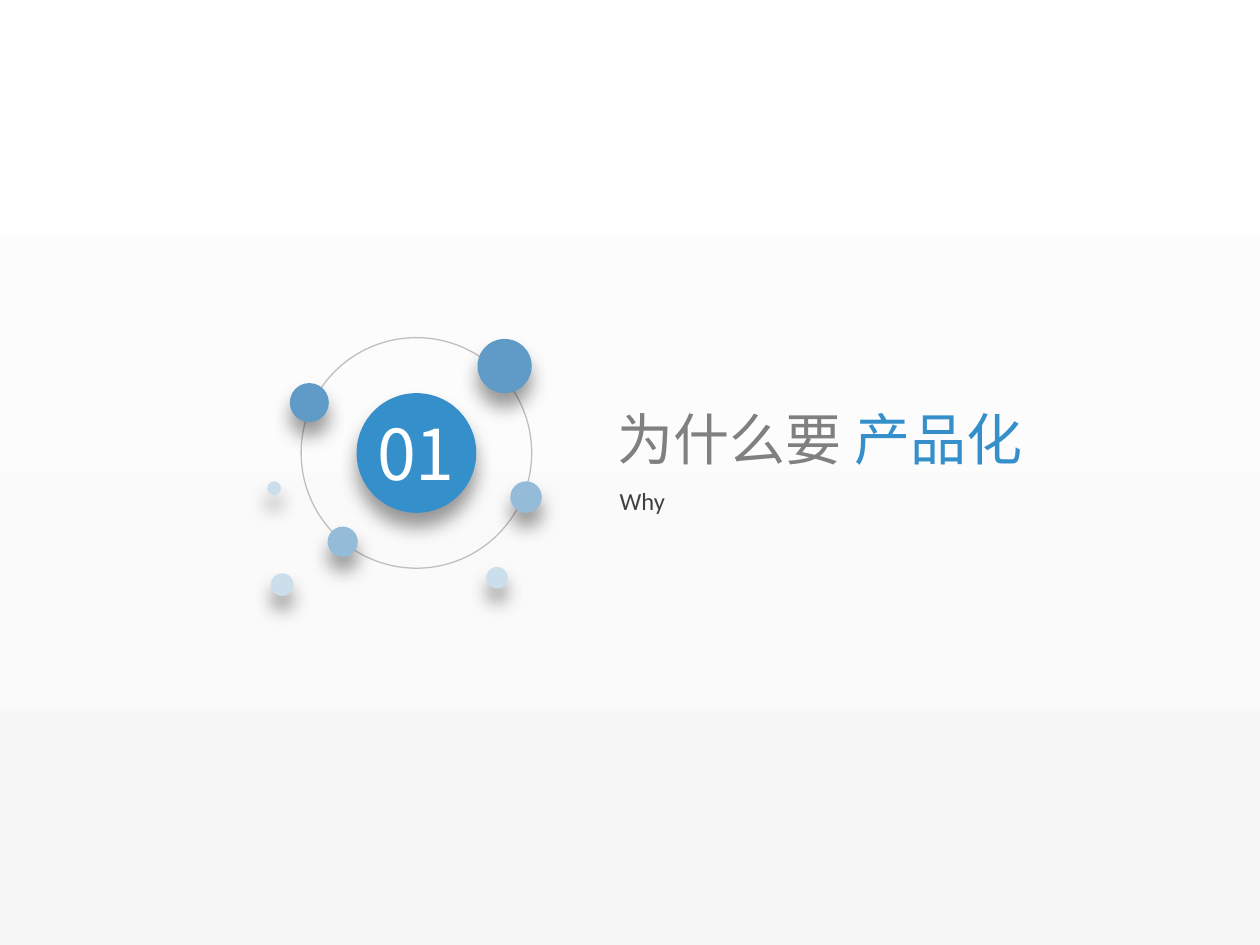
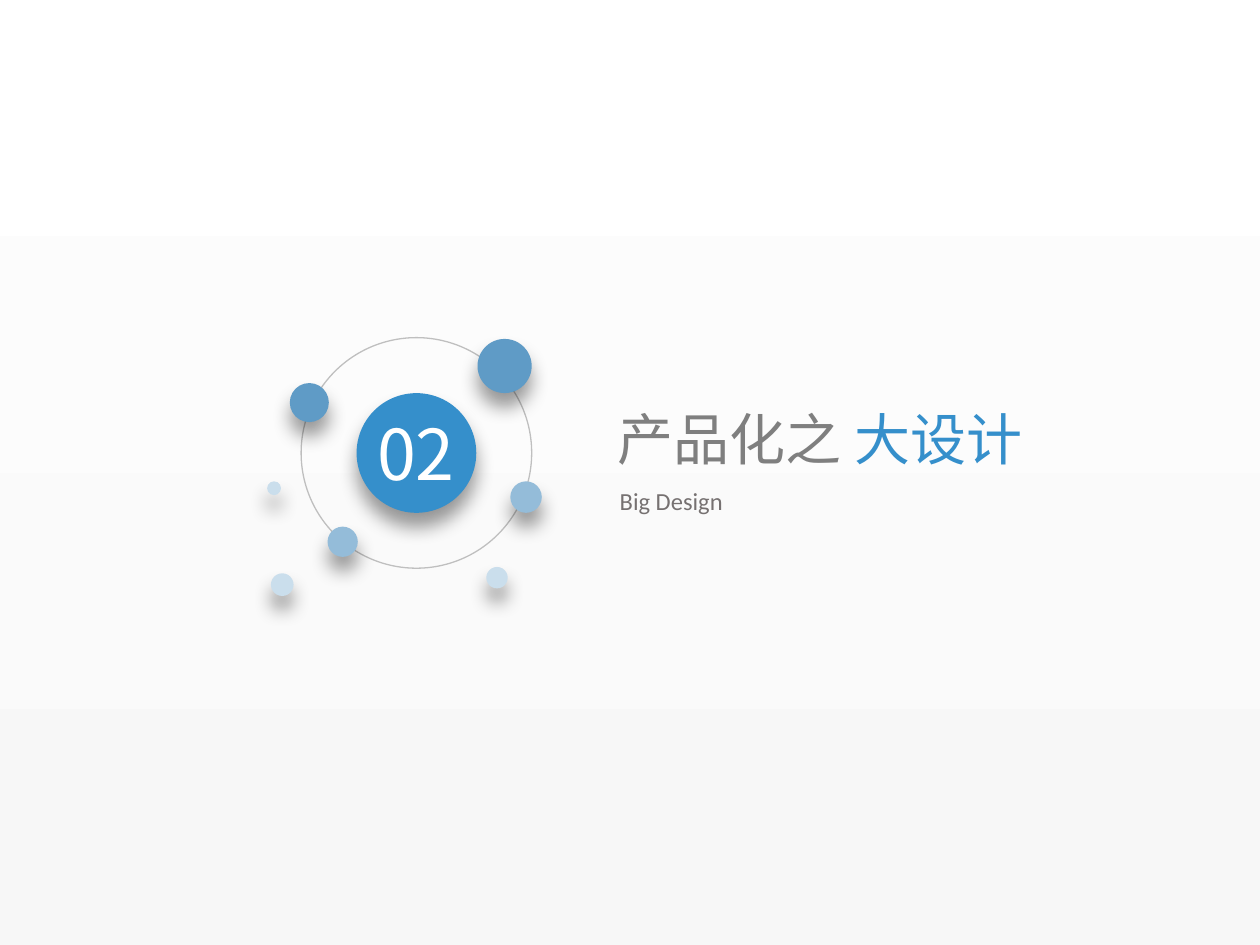
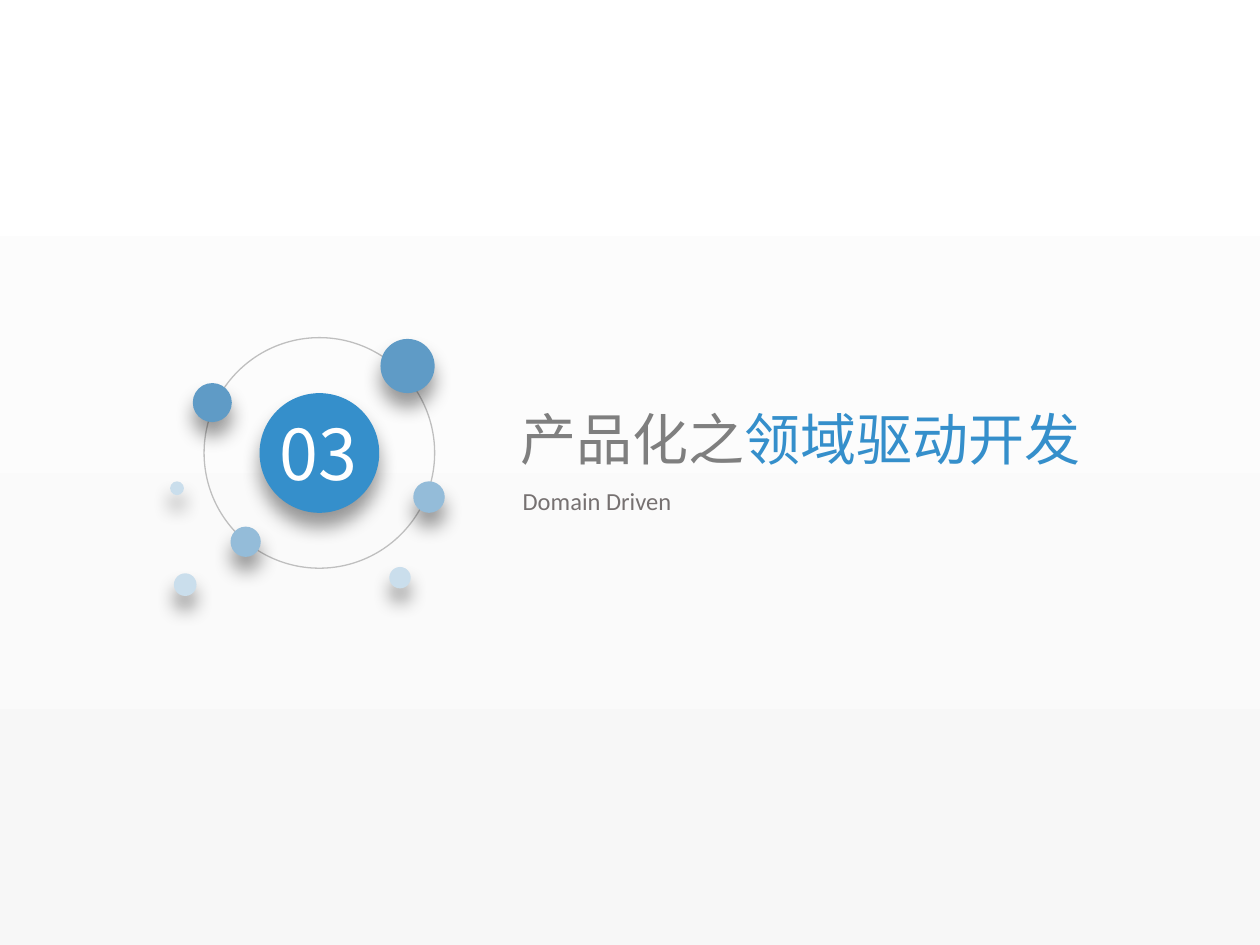
from dataclasses import dataclass

from lxml import etree
from pptx import Presentation
from pptx.dml.color import RGBColor
from pptx.enum.shapes import MSO_SHAPE
from pptx.enum.text import MSO_ANCHOR, MSO_AUTO_SIZE, PP_ALIGN
from pptx.oxml.ns import qn
from pptx.util import Inches, Pt

OVAL = MSO_SHAPE.OVAL
TOP = MSO_ANCHOR.TOP
GROW = MSO_AUTO_SIZE.SHAPE_TO_FIT_TEXT
LEFT, CENTER = PP_ALIGN.LEFT, PP_ALIGN.CENTER
TITLE_ONLY = 5


@dataclass(frozen=True)
class Theme:
    accent: str = "358FCB"
    deep: str = "5F9BC6"
    mid: str = "94BCD9"
    pale: str = "CADEEC"
    ring: str = "BFBFBF"
    white: str = "FFFFFF"
    backdrop: str = "F7F7F7"
    gray: str = "7F7F7F"
    light_gray: str = "808080"
    dark: str = "404040"
    warm: str = "767171"
    cjk: str = "Noto Sans CJK SC"
    display: str = "Manrope"
    body: str = "Calibri"
    number_size: int = 40
    title_size: int = 32
    subtitle_size: int = 14


T = Theme()

RING = 1.83
CORE = 0.95
DOTS = [
    (1.40, 0.01, 0.43, T.deep),
    (-0.09, 0.36, 0.31, T.deep),
    (-0.24, 1.87, 0.18, T.pale),
    (0.21, 1.50, 0.24, T.mid),
    (1.66, 1.14, 0.25, T.mid),
    (1.47, 1.82, 0.17, T.pale),
    (-0.27, 1.14, 0.11, T.pale),
]


def place(sp, x, y, w, h):
    sp.left, sp.top, sp.width, sp.height = map(Inches, (x, y, w, h))


def write(sp, *runs, size, align=LEFT, spacing=None, wrap=True):
    tf = sp.text_frame
    tf.word_wrap = wrap
    tf.auto_size = GROW
    tf.vertical_anchor = TOP
    p = tf.paragraphs[0]
    p.alignment = align
    if spacing:
        p.line_spacing = spacing
    for text, font, color in runs:
        r = p.add_run()
        r.text = text
        r.font.size = Pt(size)
        r.font.name = font
        r.font.color.rgb = RGBColor.from_string(color)
        ea = etree.SubElement(r.font._element, qn("a:ea"))
        ea.set("typeface", T.cjk)


def add_text(s, x, y, w, h, *runs, **fmt):
    sp = s.shapes.add_textbox(*map(Inches, (x, y, w, h)))
    write(sp, *runs, **fmt)


def add_shadow(sp):
    effects = sp._element.spPr.find(qn("a:effectLst"))
    shadow = etree.SubElement(
        effects, qn("a:outerShdw"), blurRad=str(Pt(11)), dist=str(Pt(8)),
        dir="5400000", algn="t", rotWithShape="0")
    color = etree.SubElement(shadow, qn("a:srgbClr"), val="000000")
    etree.SubElement(color, qn("a:alpha"), val="40000")


def add_circle(s, x, y, d, fill=None):
    sp = s.shapes.add_shape(OVAL, *map(Inches, (x, y, d, d)))
    sp.shadow.inherit = False
    if fill:
        sp.fill.solid()
        sp.fill.fore_color.rgb = RGBColor.from_string(fill)
        sp.line.fill.background()
        add_shadow(sp)
    else:
        sp.fill.background()
        sp.line.color.rgb = RGBColor.from_string(T.ring)
        sp.line.width = Pt(0.75)


def add_orbit(s, x, y, number):
    inset = (RING - CORE) / 2
    add_circle(s, x, y, RING)
    add_circle(s, x + inset, y + inset, CORE, T.accent)
    add_text(s, x + 0.5, y + 0.53, 0.82, 0.77, (number, T.cjk, T.white),
             size=T.number_size, align=CENTER)
    for dx, dy, d, fill in DOTS:
        add_circle(s, x + dx, y + dy, d, fill)


def add_heading(s, x, y, w, h, title, subtitle):
    sp = s.shapes.title
    place(sp, x, y, w, h)
    write(sp, *title, size=T.title_size, wrap=False)
    add_text(s, x + 0.02, y + 0.53, 2.73, 0.42, subtitle,
             size=T.subtitle_size, spacing=1.5)


def add_section(prs, number, x, title_w, title_h, title, subtitle):
    s = prs.slides.add_slide(prs.slide_layouts[TITLE_ONLY])
    y = 2.68
    add_orbit(s, x, y, number)
    add_heading(s, x + 2.41, y + 0.48, title_w, title_h, title, subtitle)


def set_backdrop(prs):
    fill = prs.slide_master.background.fill
    fill.gradient()
    fill.gradient_angle = 270
    for stop, color in zip(fill.gradient_stops, (T.white, T.backdrop)):
        stop.color.rgb = RGBColor.from_string(color)


def main():
    prs = Presentation()
    prs.slide_width, prs.slide_height = Inches(10), Inches(7.5)
    set_backdrop(prs)
    add_section(prs, "01", 2.39, 3.46, 0.64,
                [("为什么要 ", T.display, T.light_gray),
                 ("产品化", T.cjk, T.accent)],
                ("Why", T.body, T.dark))
    add_section(prs, "02", 2.39, 3.48, 0.64,
                [("产品化之 ", T.cjk, T.gray), ("大设计", T.cjk, T.accent)],
                ("Big Design", T.body, T.warm))
    add_section(prs, "03", 1.62, 4.69, 1.18,
                [("产品化之", T.cjk, T.gray), ("领域驱动开发", T.cjk, T.accent)],
                ("Domain Driven", T.body, T.warm))
    prs.save("out.pptx")


if __name__ == "__main__":
    main()
